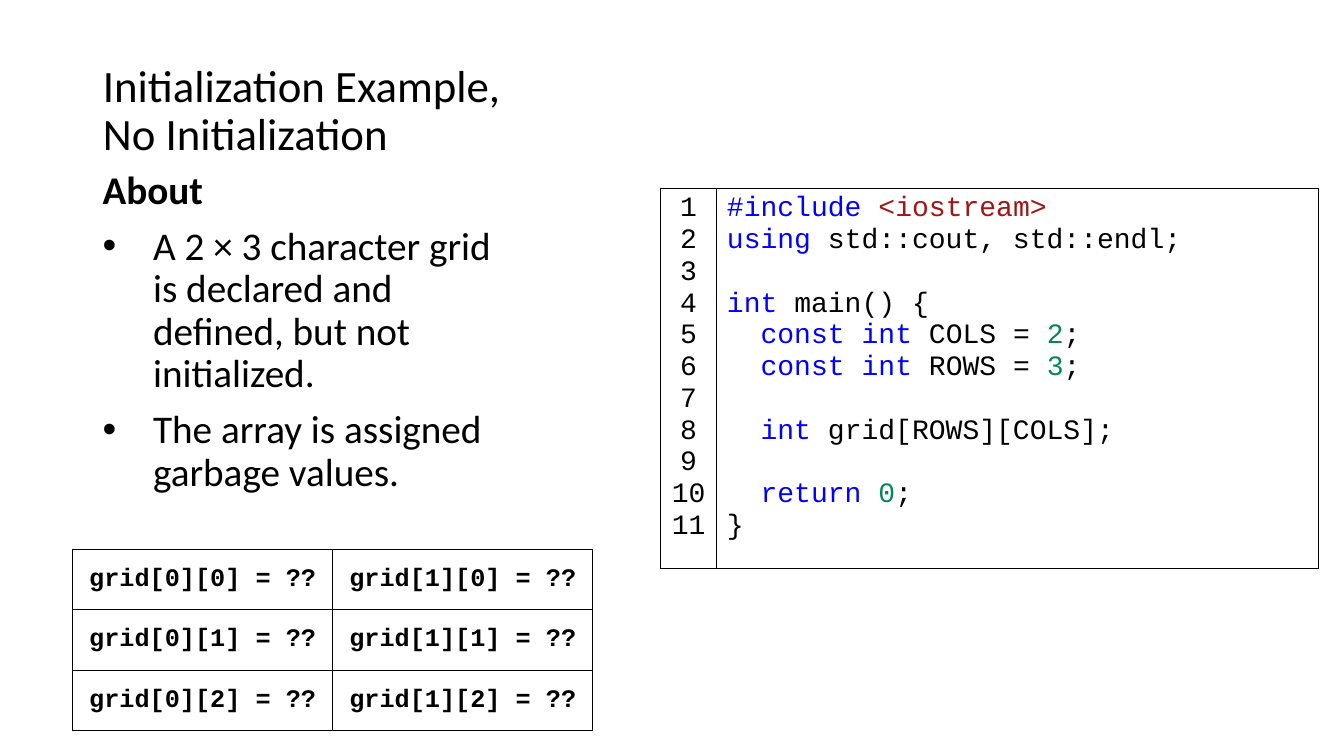
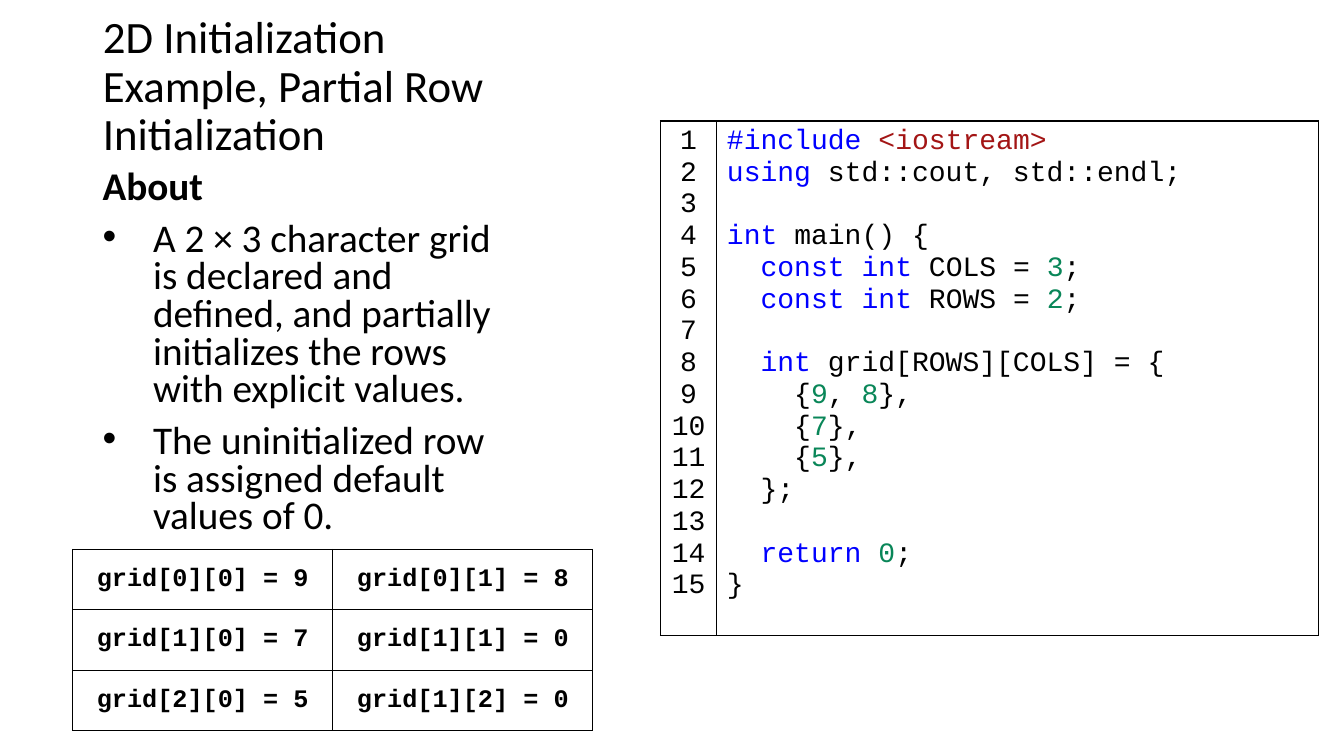
from dataclasses import dataclass
from itertools import groupby

from lxml import etree
from pptx import Presentation
from pptx import util as u
from pptx.dml.color import RGBColor
from pptx.enum import text as t
from pptx.oxml.ns import qn

# Shared style
BLACK, BLUE, RED, GREEN = "000000", "0000FF", "A31515", "098658"
BODY_FONT, CODE_FONT = "Calibri", "Courier New"
TITLE_SIZE, BODY_SIZE, CODE_SIZE, GRID_SIZE = 32, 28, 20, 18
KEYWORDS = {"using", "int", "const", "return"}

# Shared layout, in inches
TEXT_LEFT, TEXT_WIDTH, TITLE_HEIGHT = 0.92, 4.3, 1.64
CODE_LEFT, CODE_COLUMNS = 6.55, (0.56, 5.97)
CODE_LINE, CODE_PADDING = 0.315, 0.1
GRID_LEFT, GRID_TOP, GRID_COLUMN, GRID_ROW = 0.72, 5.45, 2.58, 0.6
BULLET_INDENT = 0.5


@dataclass(frozen=True)
class Example:
    title: str
    bullets: tuple[str, ...]
    line_spacing: float
    body_height: float
    code_top: float
    code: str
    grid: tuple[tuple[str, str], ...]


EXAMPLES = (
    Example(
        title="Initialization Example, No Initialization",
        bullets=(
            "A 2 × 3 character grid is declared and defined, but not initialized.",
            "The array is assigned garbage values.",
        ),
        line_spacing=0.9,
        body_height=3.99,
        code_top=1.87,
        code="""#include <iostream>
using std::cout, std::endl;

int main() {
  const int COLS = 2;
  const int ROWS = 3;

  int grid[ROWS][COLS];

  return 0;
}""",
        grid=(
            ("grid[0][0] = ??", "grid[1][0] = ??"),
            ("grid[0][1] = ??", "grid[1][1] = ??"),
            ("grid[0][2] = ??", "grid[1][2] = ??"),
        ),
    ),
    Example(
        title="2D Initialization Example, Partial Row Initialization",
        bullets=(
            "A 2 × 3 character grid is declared and defined, and partially "
            "initializes the rows with explicit values.",
            "The uninitialized row is assigned default values of 0.",
        ),
        line_spacing=0.8,
        body_height=3.81,
        code_top=1.2,
        code="""#include <iostream>
using std::cout, std::endl;

int main() {
  const int COLS = 3;
  const int ROWS = 2;

  int grid[ROWS][COLS] = {
    {9, 8},
    {7},
    {5},
  };

  return 0;
}""",
        grid=(
            ("grid[0][0] = 9", "grid[0][1] = 8"),
            ("grid[1][0] = 7", "grid[1][1] = 0"),
            ("grid[2][0] = 5", "grid[1][2] = 0"),
        ),
    ),
)


def style_font(font, name: str, size: int, color: str = BLACK, bold: bool = False) -> None:
    font.name, font.size, font.bold = name, u.Pt(size), bold
    font.color.rgb = RGBColor.from_string(color)


def style_runs(paragraph, name: str, size: int, bold: bool = False) -> None:
    for run in paragraph.runs:
        style_font(run.font, name, size, bold=bold)


def add_bullet(paragraph) -> None:
    properties = paragraph._p.get_or_add_pPr()
    properties.set("marL", str(u.Inches(BULLET_INDENT)))
    properties.set("indent", str(-u.Inches(BULLET_INDENT)))
    etree.SubElement(properties, qn("a:buFont"), typeface="Arial")
    etree.SubElement(properties, qn("a:buChar"), char="•")


def add_title(slide, title: str) -> None:
    shape = slide.shapes.title
    shape.left, shape.top = u.Inches(TEXT_LEFT), u.Inches(0)
    shape.width, shape.height = u.Inches(TEXT_WIDTH), u.Inches(TITLE_HEIGHT)
    frame = shape.text_frame
    frame.text = title
    frame.word_wrap, frame.auto_size = True, t.MSO_AUTO_SIZE.NONE
    frame.vertical_anchor = t.MSO_ANCHOR.BOTTOM
    paragraph = frame.paragraphs[0]
    paragraph.alignment, paragraph.line_spacing = t.PP_ALIGN.LEFT, 0.9
    style_runs(paragraph, BODY_FONT, TITLE_SIZE)


def add_about(slide, example: Example) -> None:
    shape = slide.shapes.add_textbox(
        u.Inches(TEXT_LEFT), u.Inches(TITLE_HEIGHT),
        u.Inches(TEXT_WIDTH), u.Inches(example.body_height))
    frame = shape.text_frame
    frame.word_wrap = True
    frame.text = "\n".join(("About", *example.bullets))
    for index, paragraph in enumerate(frame.paragraphs):
        paragraph.line_spacing = example.line_spacing
        if index:
            paragraph.space_before = u.Pt(10)
            add_bullet(paragraph)
        style_runs(paragraph, BODY_FONT, BODY_SIZE, bold=index == 0)


def add_bordered_table(slide, left: float, top: float,
                       columns: tuple[float, ...], rows: tuple[float, ...]):
    """Add a plain table with thin black borders around every cell."""
    table = slide.shapes.add_table(
        len(rows), len(columns), u.Inches(left), u.Inches(top),
        u.Inches(sum(columns)), u.Inches(sum(rows))).table
    table.first_row = table.horz_banding = False
    for column, width in zip(table.columns, columns):
        column.width = u.Inches(width)
    for row, height in zip(table.rows, rows):
        row.height = u.Inches(height)
    for cell in table.iter_cells():
        properties = cell._tc.get_or_add_tcPr()
        for side in ("lnL", "lnR", "lnT", "lnB"):
            line = etree.SubElement(properties, qn(f"a:{side}"), w=str(u.Pt(1)))
            fill = etree.SubElement(line, qn("a:solidFill"))
            etree.SubElement(fill, qn("a:srgbClr"), val=BLACK)
        cell.fill.background()
    return table


def token_color(token: str) -> str:
    if token in KEYWORDS:
        return BLUE
    return GREEN if token.isdigit() else BLACK


def highlight(line: str) -> list[tuple[str, str]]:
    """Split a line of code into (text, colour) pieces."""
    if line.startswith("#"):
        directive, space, header = line.partition(" ")
        return [(directive + space, BLUE), (header, RED)]
    tokens = ["".join(group) for _, group in groupby(line, str.isalnum)]
    return [("".join(group), color) for color, group in groupby(tokens, token_color)]


def add_code_break(paragraph) -> None:
    paragraph.add_line_break()
    properties = etree.SubElement(
        paragraph._p[-1], qn("a:rPr"), sz=str(CODE_SIZE * 100))
    etree.SubElement(properties, qn("a:latin"), typeface=CODE_FONT)


def add_code(slide, example: Example) -> None:
    lines = example.code.split("\n")
    height = len(lines) * CODE_LINE + CODE_PADDING
    table = add_bordered_table(slide, CODE_LEFT, example.code_top, CODE_COLUMNS, (height,))

    # Line numbers
    numbers = table.cell(0, 0).text_frame
    numbers.text = "\n".join(str(number + 1) for number in range(len(lines)))
    for paragraph in numbers.paragraphs:
        paragraph.alignment = t.PP_ALIGN.CENTER
        style_runs(paragraph, CODE_FONT, CODE_SIZE)

    # Highlighted code: an empty line becomes a break before the next one
    frame = table.cell(0, 1).text_frame
    paragraph = frame.paragraphs[0]
    for index, line in enumerate(lines):
        if index and lines[index - 1]:
            paragraph = frame.add_paragraph()
        if not line:
            add_code_break(paragraph)
            continue
        for piece, color in highlight(line):
            run = paragraph.add_run()
            run.text = piece
            style_font(run.font, CODE_FONT, CODE_SIZE, color)


def add_grid(slide, grid: tuple[tuple[str, str], ...]) -> None:
    table = add_bordered_table(
        slide, GRID_LEFT, GRID_TOP,
        (GRID_COLUMN,) * len(grid[0]), (GRID_ROW,) * len(grid))
    for row, values in enumerate(grid):
        for column, value in enumerate(values):
            cell = table.cell(row, column)
            cell.vertical_anchor = t.MSO_ANCHOR.MIDDLE
            cell.text_frame.text = value
            paragraph = cell.text_frame.paragraphs[0]
            paragraph.alignment = t.PP_ALIGN.CENTER
            style_runs(paragraph, CODE_FONT, GRID_SIZE, bold=True)


def main() -> None:
    presentation = Presentation()
    presentation.slide_width, presentation.slide_height = u.Inches(13.33), u.Inches(7.5)
    title_only = presentation.slide_layouts[5]
    for example in EXAMPLES:
        slide = presentation.slides.add_slide(title_only)
        add_title(slide, example.title)
        add_about(slide, example)
        add_code(slide, example)
        add_grid(slide, example.grid)
    presentation.save("out.pptx")


if __name__ == "__main__":
    main()
